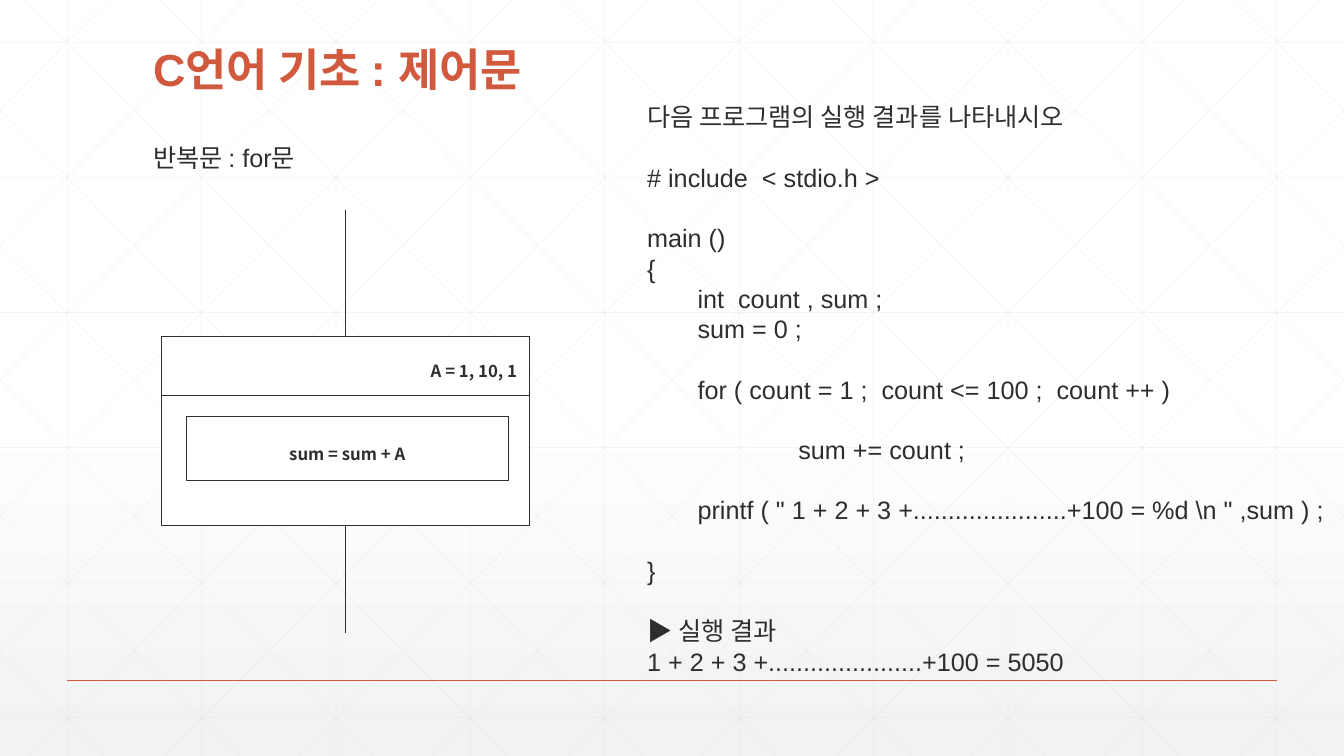
import pptx
import pptx.util
import pptx.dml.color
import pptx.enum.shapes
import pptx.enum.text
import pptx.oxml.ns
import lxml.etree

Inches, Pt = pptx.util.Inches, pptx.util.Pt
RGBColor = pptx.dml.color.RGBColor
Align = pptx.enum.text.PP_ALIGN
Anchor = pptx.enum.text.MSO_ANCHOR
qn = pptx.oxml.ns.qn

WHITE = RGBColor(0xFF, 0xFF, 0xFF)
MIST = RGBColor(0xF2, 0xF2, 0xF2)
GRID = RGBColor(0xD9, 0xD9, 0xD9)
ACCENT = RGBColor(0xD1, 0x5A, 0x3E)
INK = RGBColor(0x2D, 0x2E, 0x2D)
LATIN, KOREAN = "Arial", "Noto Sans CJK KR"

TITLE = "C언어 기초 : 제어문"
SUBTITLE = "반복문 : for문"
LOOP_HEADER = "A = 1, 10, 1"
LOOP_BODY = "sum = sum + A"
PROGRAM = [
    (0, 0, "다음 프로그램의 실행 결과를 나타내시오"),
    (1, 0, "# include  < stdio.h >"),
    (1, 0, "main ()"),
    (0, 0, "{"),
    (0, 0.5, "int  count , sum ;"),
    (0, 0.5, "sum = 0 ;"),
    (1, 0.5, "for ( count = 1 ;  count <= 100 ;  count ++ )"),
    (1, 1.5, "sum += count ;"),
    (1, 0.5, 'printf ( " 1 + 2 + 3 +......................+100 = %d \\n " ,sum ) ;'),
    (1, 0, "}"),
    (1, 0, "▶ 실행 결과"),
    (0, 0, "1 + 2 + 3 +......................+100 = 5050"),
]

WIDTH, HEIGHT = 13.33, 7.5
STEP = WIDTH / 10
ROW_STEP = 1.34
DIAGONAL_RUN = 7.45
LINE_PITCH = 21.6

deck = pptx.Presentation()
deck.slide_width, deck.slide_height = Inches(WIDTH), Inches(HEIGHT)
page = deck.slides.add_slide(deck.slide_layouts[6])

backdrop = page.background.fill
backdrop.gradient()
backdrop.gradient_angle = 270
for stop, position, color in zip(backdrop.gradient_stops, (0.53, 1), (WHITE, MIST)):
    stop.position = position
    stop.color.rgb = color


def add_line(x1, y1, x2, y2, color, weight, opacity=100):
    line = page.shapes.add_connector(
        pptx.enum.shapes.MSO_CONNECTOR.STRAIGHT,
        Inches(x1), Inches(y1), Inches(x2), Inches(y2))
    line.line.color.rgb = color
    line.line.width = Pt(weight)
    properties = line._element.spPr
    lxml.etree.SubElement(properties, qn("a:effectLst"))
    if opacity < 100:
        solid = properties.find(".//" + qn("a:srgbClr"))
        lxml.etree.SubElement(solid, qn("a:alpha")).set("val", str(opacity * 1000))


def add_grid_line(x1, y1, x2, y2):
    add_line(x1, y1, x2, y2, GRID, 0.5, 25)


def style(para, size, latin, color, bold=False):
    for span in para.runs:
        span.font.size = Pt(size)
        span.font.name = latin
        span.font.bold = bold
        span.font.color.rgb = color
        east = lxml.etree.SubElement(span._r.get_or_add_rPr(), qn("a:ea"))
        east.set("typeface", KOREAN)


def add_text(x, y, width, height, lines, size, color, bold=False, pitch=None):
    box = page.shapes.add_textbox(Inches(x), Inches(y), Inches(width), Inches(height))
    frame = box.text_frame
    frame.word_wrap = True
    frame.text = "\n".join(text for _, _, text in lines)
    for para, (gap, indent, _) in zip(frame.paragraphs, lines):
        para.line_spacing = pitch
        if gap:
            para.space_before = Pt(gap * LINE_PITCH)
        if indent:
            para._p.get_or_add_pPr().set("marL", str(Inches(indent)))
        style(para, size, LATIN, color, bold)
    return frame


def add_block(x, y, width, height, text="", align=Align.CENTER, right_inset=0):
    block = page.shapes.add_shape(
        pptx.enum.shapes.MSO_SHAPE.RECTANGLE,
        Inches(x), Inches(y), Inches(width), Inches(height))
    block.shadow.inherit = False
    block.fill.solid()
    block.fill.fore_color.rgb = WHITE
    block.line.color.rgb = INK
    block.line.width = Pt(0.75)
    if text:
        frame = block.text_frame
        frame.margin_left = frame.margin_top = frame.margin_bottom = 0
        frame.margin_right = Inches(right_inset)
        frame.vertical_anchor = Anchor.MIDDLE
        frame.text = text
        para = frame.paragraphs[0]
        para.alignment = align
        para.line_spacing = 1.5
        para.space_before = Pt(2.4)
        style(para, 12, KOREAN, INK, True)


for column in range(10):
    x = (column + 0.5) * STEP
    add_grid_line(x, 0, x, HEIGHT)
for row in range(6):
    y = 0.42 + row * ROW_STEP
    add_grid_line(0, y, WIDTH, y)

slope = HEIGHT / DIAGONAL_RUN
for column in range(-5, 10):
    top = 0.25 + column * STEP
    start, end = max(top, 0), min(top + DIAGONAL_RUN, WIDTH)
    y1, y2 = (start - top) * slope, (end - top) * slope
    add_grid_line(start, y1, end, y2)
    add_grid_line(WIDTH - start, y1, WIDTH - end, y2)

add_line(STEP / 2, 0.9 * HEIGHT, WIDTH - STEP / 2, 0.9 * HEIGHT, ACCENT, 1)

title = add_text(1.42, 0.39, 10.5, 0.61, [(0, 0, TITLE)], 32, ACCENT, True, 0.9)
title.vertical_anchor = Anchor.BOTTOM
add_text(1.42, 1.36, 4.5, 0.98, [(0, 0, SUBTITLE)], 18, INK, pitch=Pt(LINE_PITCH))
program = add_text(6.32, 0.96, 7.01, 5.86, PROGRAM, 18, INK, pitch=Pt(LINE_PITCH))
program.margin_right = 0

LOOP_X, LOOP_Y, LOOP_WIDTH = 1.6, 3.34, 3.65
flow_x = LOOP_X + LOOP_WIDTH / 2
add_line(flow_x, 2.08, flow_x, 6.28, INK, 0.75)
add_block(LOOP_X, LOOP_Y, LOOP_WIDTH, 1.87)
add_block(1.85, 4.13, 3.19, 0.64, LOOP_BODY)
add_block(LOOP_X, LOOP_Y, LOOP_WIDTH, 0.58, LOOP_HEADER, Align.RIGHT, 0.12)

deck.save("out.pptx")
